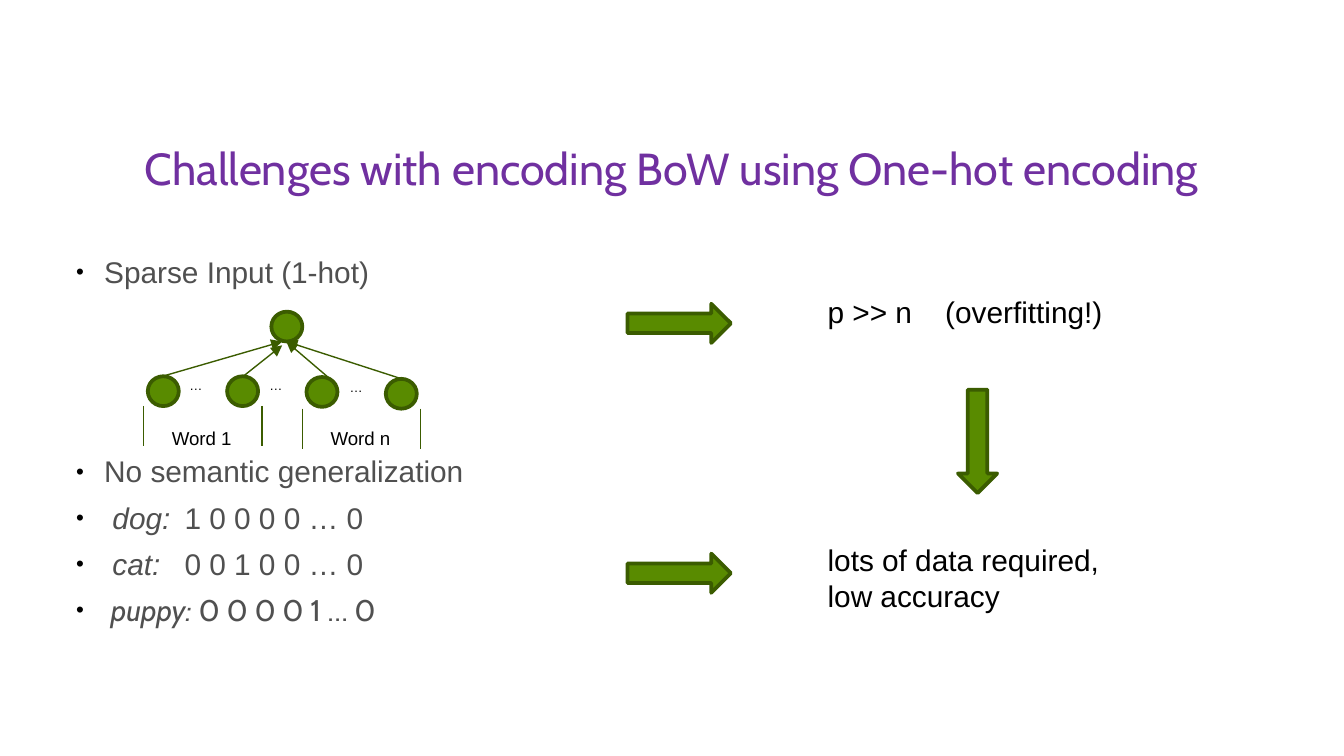
"""Build a slide on the challenges of one-hot encoding a bag of words."""
from typing import NamedTuple

from lxml.etree import SubElement
from pptx import Presentation
from pptx.dml.color import RGBColor
from pptx.enum.shapes import MSO_CONNECTOR, MSO_SHAPE
from pptx.enum.text import PP_ALIGN
from pptx.oxml.ns import qn
from pptx.util import Pt

GREEN, DARK_GREEN = "598B00", "3B5C00"
PURPLE, GREY, BLACK = "7030A0", "505050", "000000"


class Box(NamedTuple):
    left: float
    top: float
    width: float
    height: float


class Run(NamedTuple):
    text: str
    italic: bool = False
    font: str = "Arial"


class Line(NamedTuple):
    x1: float
    y1: float
    x2: float
    y2: float
    arrow: bool = False


class Arrow(NamedTuple):
    box: Box
    rotation: float = 0


def rgb(value: str) -> RGBColor:
    return RGBColor.from_string(value)


def add_shape(s, kind, box: Box, rotation: float = 0) -> None:
    sp = s.shapes.add_shape(kind, *map(Pt, box))
    sp.rotation = rotation
    sp.shadow.inherit = False
    sp.fill.solid()
    sp.fill.fore_color.rgb = rgb(GREEN)
    sp.line.color.rgb = rgb(DARK_GREEN)
    sp.line.width = Pt(2)


def add_line(s, line: Line) -> None:
    ends = map(Pt, (line.x1, line.y1, line.x2, line.y2))
    sp = s.shapes.add_connector(MSO_CONNECTOR.STRAIGHT, *ends)
    sp.line.color.rgb = rgb(DARK_GREEN)
    sp.line.width = Pt(0.75)
    if line.arrow:
        SubElement(sp.line._get_or_add_ln(), qn("a:tailEnd"), type="triangle")
    SubElement(sp._element.spPr, qn("a:effectLst"))


def add_bullet(p) -> None:
    pPr = p._p.get_or_add_pPr()
    pPr.set("marL", str(Pt(15)))
    pPr.set("indent", str(Pt(-15)))
    SubElement(SubElement(pPr, qn("a:buClr")), qn("a:srgbClr"), val=BLACK)
    SubElement(pPr, qn("a:buSzPct"), val="75000")
    SubElement(pPr, qn("a:buFont"), typeface="Arial")
    SubElement(pPr, qn("a:buChar"), char="•")


def add_text(s, box: Box, paragraphs: list[list[Run]], *, size: float,
             color: str = BLACK, inset: tuple[float, float] = (7.2, 3.6),
             align=PP_ALIGN.LEFT, wrap: bool = True, bullets: bool = False,
             tab: float = 0, spacing: float = 1, gaps: tuple = ()) -> None:
    tf = s.shapes.add_textbox(*map(Pt, box)).text_frame
    tf.word_wrap = wrap
    tf.margin_left = tf.margin_right = Pt(inset[0])
    tf.margin_top = tf.margin_bottom = Pt(inset[1])
    for i, runs in enumerate(paragraphs):
        p = tf.paragraphs[0] if i == 0 else tf.add_paragraph()
        if bullets:
            add_bullet(p)
        if tab:
            tabs = SubElement(p._p.get_or_add_pPr(), qn("a:tabLst"))
            SubElement(tabs, qn("a:tab"), pos=str(Pt(tab)), algn="l")
        p.alignment = align
        p.line_spacing = spacing
        p.space_before = Pt(gaps[i] if gaps else 0)
        for run in runs:
            r = p.add_run()
            r.text = run.text
            r.font.name = run.font
            r.font.size = Pt(size)
            r.font.italic = run.italic
            r.font.color.rgb = rgb(color)


def draw_network(s) -> None:
    add_shape(s, MSO_SHAPE.OVAL, Box(145.4, 167, 16.6, 16))
    for i, top in enumerate((201.6, 201.6, 202, 203)):
        add_shape(s, MSO_SHAPE.OVAL, Box(79.2 + 42.5 * i, top, 16.6, 16))
    for line in (Line(87, 201.6, 151.2, 183, True),
                 Line(130.3, 201.6, 151.2, 185, True),
                 Line(178.6, 204.5, 153.4, 183, True),
                 Line(215.3, 203, 153.4, 183, True)):
        add_line(s, line)
    for i, top in enumerate((198.7, 198.7, 200)):
        add_text(s, Box(101.5 + 42.9 * i, top, 5, 16), [[Run("…")]], size=7,
                 inset=(0, 3.6), align=PP_ALIGN.CENTER, wrap=False)
    for left, top, word in ((77, 217.4, "Word 1"), (162, 218.9, "Word n")):
        for x in (left, left + 63.4):
            add_line(s, Line(x, top, x, top + 21.6))
        add_text(s, Box(left + 8, 225.4, 46.8, 19.4), [[Run(word)]],
                 size=10, wrap=False)


def main() -> None:
    prs = Presentation()
    prs.slide_width, prs.slide_height = Pt(720), Pt(405)
    s = prs.slides.add_slide(prs.slide_layouts[6])
    title = Run("Challenges with encoding BoW using One-hot encoding", font="Cabin")
    add_text(s, Box(32.4, 71.3, 654.5, 34.6), [[title]], size=24, color=PURPLE,
             inset=(7.2, 7.2), align=PP_ALIGN.CENTER, spacing=0.9)
    points = [
        [Run("Sparse Input (1-hot)")],
        [Run("No semantic generalization")],
        [Run(" dog:\t", True), Run("1 0 0 0 0 … 0")],
        [Run(" cat:\t", True), Run("0 0 1 0 0 … 0")],
        [Run(" puppy: ", True, "Cabin"), Run("0 0 0 0 1 … 0", font="Cabin")],
    ]
    add_text(s, Box(33.8, 131, 653, 256.3), points, size=16, color=GREY,
             inset=(7.2, 7.2), bullets=True, tab=58, spacing=0.9,
             gaps=(0, 89.5, 7.5, 7.5, 7.5))
    draw_network(s)
    for arrow in (Arrow(Box(336.2, 162.7, 55.4, 21)),
                  Arrow(Box(336.2, 296.6, 55.4, 21)),
                  Arrow(Box(496, 226, 55.4, 21), 90)):
        add_shape(s, MSO_SHAPE.RIGHT_ARROW, arrow.box, arrow.rotation)
    add_text(s, Box(436.3, 154, 213, 26.6), [[Run("p >> n\t(overfitting!)")]],
             size=16, tab=63)
    add_text(s, Box(436.3, 286.6, 213, 46),
             [[Run("lots of data required,")], [Run("low accuracy")]], size=16)
    prs.save("out.pptx")


if __name__ == "__main__":
    main()
